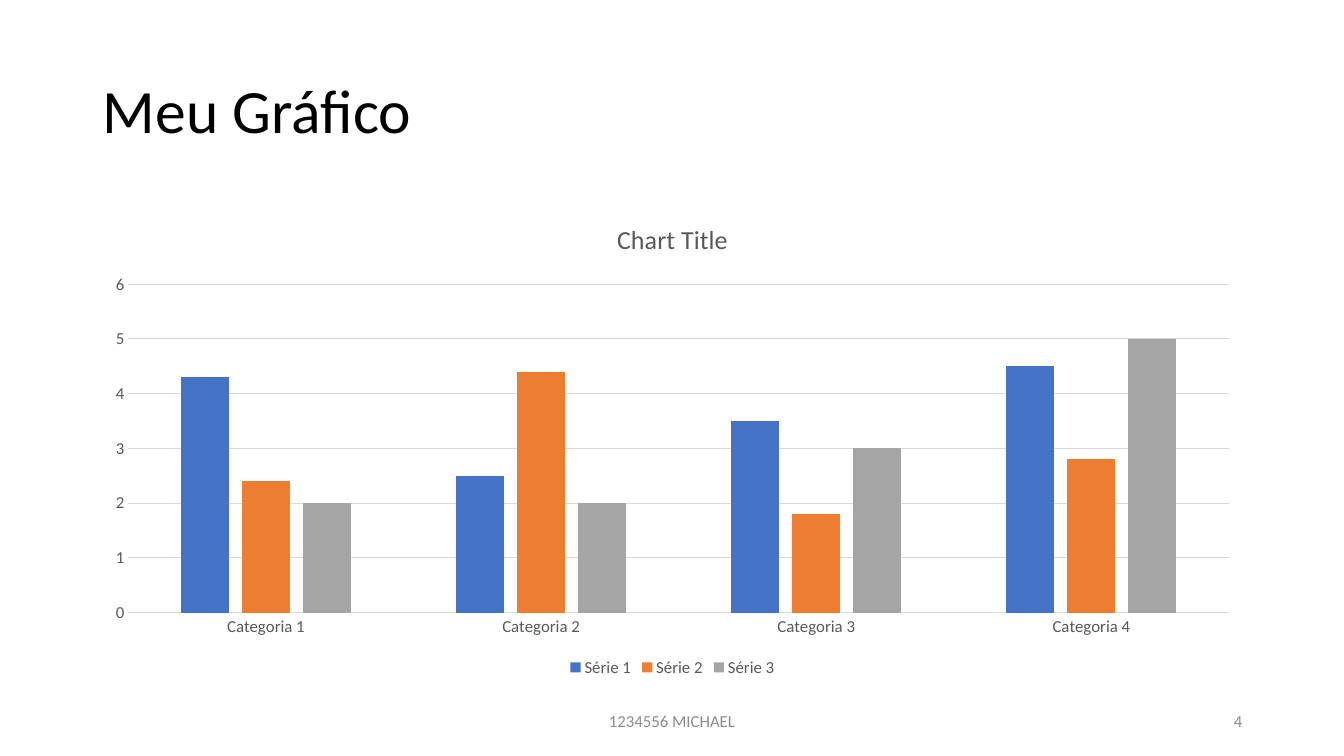
from pptx import Presentation
from pptx.chart.data import CategoryChartData
from pptx.dml.color import RGBColor
from pptx.enum.chart import XL_CHART_TYPE, XL_LEGEND_POSITION, XL_TICK_MARK
from pptx.enum.text import MSO_ANCHOR, PP_ALIGN
from pptx.util import Inches, Pt

COLUMNS = XL_CHART_TYPE.COLUMN_CLUSTERED
BOTTOM = XL_LEGEND_POSITION.BOTTOM
NO_TICK = XL_TICK_MARK.NONE
MIDDLE = MSO_ANCHOR.MIDDLE
LEFT, CENTER, RIGHT = PP_ALIGN.LEFT, PP_ALIGN.CENTER, PP_ALIGN.RIGHT

FONT = "Calibri"
TITLE = "Meu Gráfico"
CHART_TITLE = "Chart Title"
CATEGORIES = ["Categoria 1", "Categoria 2", "Categoria 3", "Categoria 4"]
SERIES = [
    ("Série 1", "4472C4", (4.3, 2.5, 3.5, 4.5)),
    ("Série 2", "ED7D31", (2.4, 4.4, 1.8, 2.8)),
    ("Série 3", "A5A5A5", (2, 2, 3, 5)),
]
FOOTERS = [("1234556 MICHAEL", 4.5, CENTER), ("4", 3, RIGHT)]
CHART_GRAY, GRID_GRAY, FOOTER_GRAY = "595959", "D9D9D9", "8C8C8C"

WIDTH, HEIGHT = 13.33, 7.5
MARGIN = 0.92
CONTENT_WIDTH = 11.5


def color(value):
    return RGBColor.from_string(value)


def set_font(font, size, value):
    for name, setting in {"name": FONT, "size": Pt(size), "bold": False}.items():
        setattr(font, name, setting)
    font.color.rgb = color(value)


def set_line(line):
    line.color.rgb = color(GRID_GRAY)
    line.width = Pt(0.75)


def place(shape, left, top, width, height):
    box = {"left": left, "top": top, "width": width, "height": height}
    for name, length in box.items():
        setattr(shape, name, Inches(length))


def write(shape, text, size, value, alignment):
    frame = shape.text_frame
    frame.word_wrap = True
    frame.vertical_anchor = MIDDLE
    paragraph = frame.paragraphs[0]
    paragraph.alignment = alignment
    run = paragraph.add_run()
    run.text = text
    set_font(run.font, size, value)
    return paragraph


def add_column_chart(slide):
    data = CategoryChartData()
    data.categories = CATEGORIES
    for name, _, values in SERIES:
        data.add_series(name, values)
    box = [Inches(length) for length in (MARGIN, 2, CONTENT_WIDTH, 4.76)]
    chart = slide.shapes.add_chart(COLUMNS, *box, data).chart
    set_font(chart.font, 12, CHART_GRAY)

    chart.has_title = True
    title_run = chart.chart_title.text_frame.paragraphs[0].add_run()
    title_run.text = CHART_TITLE
    set_font(title_run.font, 18.6, CHART_GRAY)
    chart.chart_title.include_in_layout = False

    chart.has_legend = True
    chart.legend.position = BOTTOM
    chart.legend.include_in_layout = False
    set_font(chart.legend.font, 12, CHART_GRAY)

    for axis in (chart.category_axis, chart.value_axis):
        axis.major_tick_mark = axis.minor_tick_mark = NO_TICK
        set_font(axis.tick_labels.font, 12, CHART_GRAY)
    set_line(chart.category_axis.format.line)
    value_axis = chart.value_axis
    value_axis.format.line.fill.background()
    value_axis.has_major_gridlines = True
    set_line(value_axis.major_gridlines.format.line)
    for name, number in {"minimum_scale": 0, "maximum_scale": 6, "major_unit": 1}.items():
        setattr(value_axis, name, number)

    plot = chart.plots[0]
    for name, setting in {"gap_width": 219, "overlap": -27, "vary_by_categories": False}.items():
        setattr(plot, name, setting)
    for series, (_, fill, _) in zip(plot.series, SERIES):
        series.format.fill.solid()
        series.format.fill.fore_color.rgb = color(fill)


def main():
    presentation = Presentation()
    presentation.slide_width = Inches(WIDTH)
    presentation.slide_height = Inches(HEIGHT)
    slide = presentation.slides.add_slide(presentation.slide_layouts[5])

    title = slide.shapes.title
    place(title, MARGIN, 0.4, CONTENT_WIDTH, 1.45)
    write(title, TITLE, 44, "000000", LEFT).line_spacing = 0.9

    add_column_chart(slide)

    for text, width, alignment in FOOTERS:
        left = (WIDTH - width) / 2 if alignment == CENTER else MARGIN + CONTENT_WIDTH - width
        footer = slide.shapes.add_textbox(0, 0, 0, 0)
        place(footer, left, 6.95, width, 0.4)
        write(footer, text, 12, FOOTER_GRAY, alignment)

    presentation.save("out.pptx")


if __name__ == "__main__":
    main()
